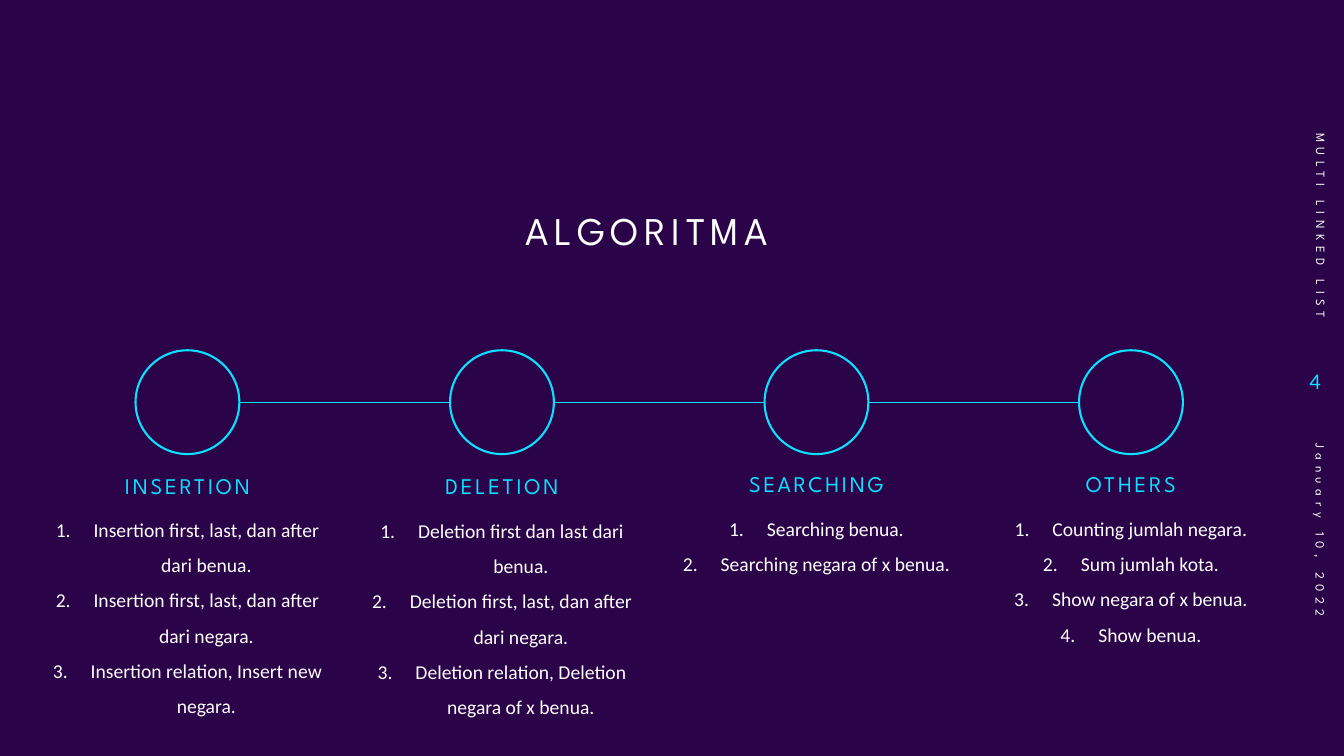
from pptx import Presentation
from pptx.dml.color import RGBColor
from pptx.enum.shapes import MSO_CONNECTOR as Connector, MSO_SHAPE as Shape
from pptx.enum.text import MSO_ANCHOR as Anchor, PP_ALIGN as Align
from pptx.oxml.ns import qn
from pptx.util import Inches, Pt
from lxml.etree import SubElement

PURPLE, CYAN, WHITE = "2B0348", "0BE1FF", "FFFFFF"
DISPLAY, BODY = "League Spartan", "Calibri"


def color(code):
    return RGBColor.from_string(code)


def add_text(at, lines, size, font, ink, align=Align.CENTER, anchor=Anchor.MIDDLE,
             tracking=0, leading=1.0, numbered=False, turn=0):
    box = page.shapes.add_textbox(*map(Inches, at))
    box.rotation = turn
    frame = box.text_frame
    frame.word_wrap = True
    frame.vertical_anchor = anchor
    for index, line in enumerate(lines):
        para = frame.add_paragraph() if index else frame.paragraphs[0]
        para.alignment = align
        para.line_spacing = leading
        if numbered:
            settings = para._p.get_or_add_pPr()
            settings.set("marL", str(Inches(0.375)))
            settings.set("indent", str(Inches(-0.375)))
            SubElement(settings, qn("a:buFont"), typeface="+mj-lt")
            SubElement(settings, qn("a:buAutoNum"), type="arabicPeriod")
        para.font.size = Pt(size)
        para.font.name = font
        para.font.color.rgb = color(ink)
        span = para.add_run()
        span.text = line
        if tracking:
            span._r.get_or_add_rPr().set("spc", str(tracking * 100))


deck = Presentation()
deck.slide_width, deck.slide_height = Inches(13.333), Inches(7.5)
page = deck.slides.add_slide(deck.slide_layouts[6])
page.background.fill.solid()
page.background.fill.fore_color.rgb = color(PURPLE)

# Title
add_text((3.84, 1.99, 5.16, 0.63), ["ALGORITMA"], 28, DISPLAY, WHITE,
         tracking=4, leading=0.9)

# Timeline grid
FIRST_CENTER, PITCH, MIDDLE = 1.86, 3.12, 3.99
CIRCLE, COLUMN = 1.03, 2.89

# Line behind the circles
line = page.shapes.add_connector(
    Connector.STRAIGHT, Inches(FIRST_CENTER + CIRCLE / 2), Inches(MIDDLE),
    Inches(FIRST_CENTER + 3 * PITCH - CIRCLE / 2), Inches(MIDDLE))
line.line.color.rgb = color(CYAN)
line.line.width = Pt(0.5)
SubElement(line._element.spPr, qn("a:effectLst"))

# Columns: heading, top of heading, top of list, steps
columns = [
    ("INSERTION", 4.63, 4.97, ["Insertion first, last, dan after dari benua.",
                               "Insertion first, last, dan after dari negara.",
                               "Insertion relation, Insert new negara."]),
    ("DELETION", 4.63, 4.98, ["Deletion first dan last dari benua.",
                              "Deletion first, last, dan after dari negara.",
                              "Deletion relation, Deletion negara of x benua."]),
    ("SEARCHING", 4.61, 4.96, ["Searching benua.",
                               "Searching negara of x benua."]),
    ("OTHERS", 4.61, 4.96, ["Counting jumlah negara.", "Sum jumlah kota.",
                            "Show negara of x benua.", "Show benua."]),
]
for index, (heading, heading_top, list_top, steps) in enumerate(columns):
    center = FIRST_CENTER + index * PITCH
    circle = page.shapes.add_shape(
        Shape.OVAL, Inches(center - CIRCLE / 2), Inches(MIDDLE - CIRCLE / 2),
        Inches(CIRCLE), Inches(CIRCLE))
    circle.shadow.inherit = False
    circle.fill.solid()
    circle.fill.fore_color.rgb = color(PURPLE)
    circle.line.color.rgb = color(CYAN)
    circle.line.width = Pt(1.5)
    left = center - COLUMN / 2
    add_text((left, heading_top, COLUMN, 0.4), [heading], 16, DISPLAY, CYAN,
             tracking=2, leading=0.9)
    add_text((left, list_top, COLUMN, 1.77), steps, 14, BODY, WHITE,
             anchor=Anchor.TOP, leading=1.5, numbered=True)

# Side strip: deck name, page number, date
add_text((11.59, 1.54, 3.03, 0.4), ["MULTI LINKED LIST"], 9, DISPLAY, WHITE,
         align=Align.RIGHT, tracking=4, turn=90)
add_text((12.6, 3.46, 0.6, 0.63), ["4"], 16, BODY, CYAN, align=Align.RIGHT)
add_text((11.65, 5.55, 2.9, 0.4), ["January 10, 2022"], 9, DISPLAY, WHITE,
         align=Align.LEFT, tracking=4, turn=90)

deck.save("out.pptx")
